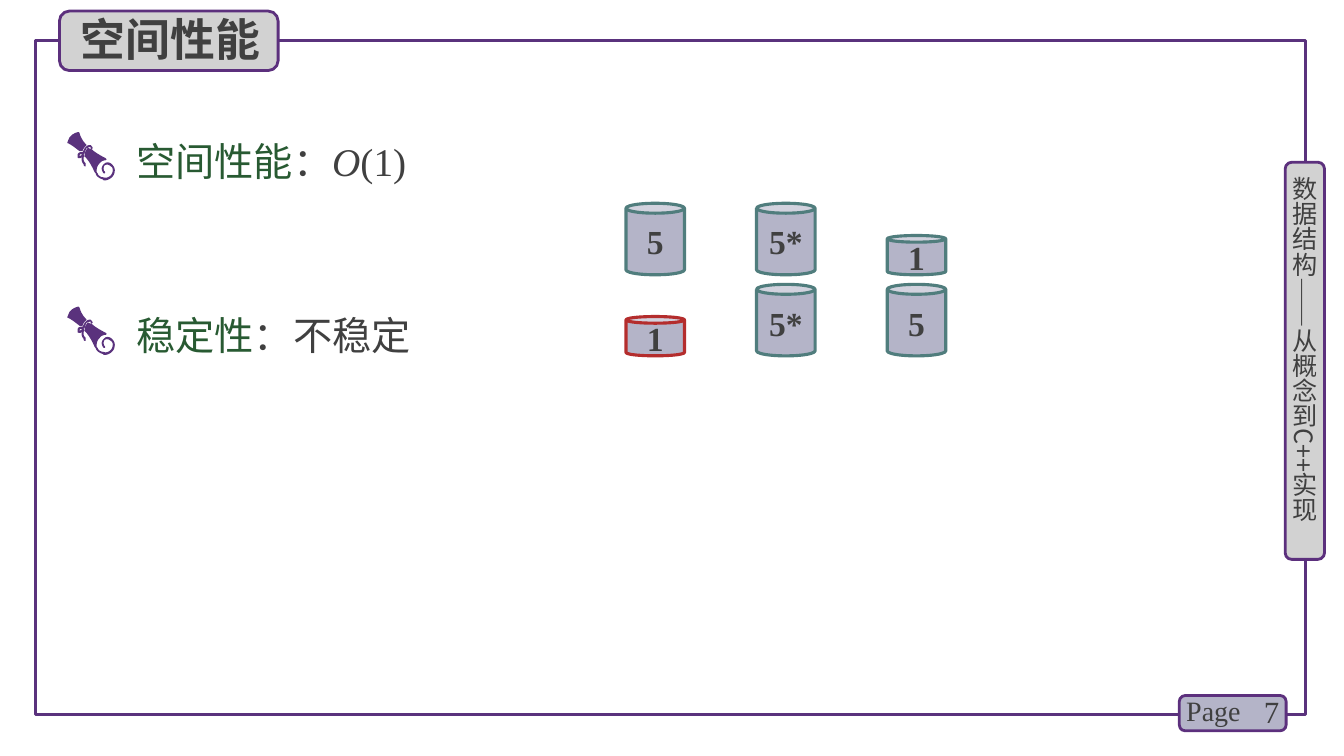
from dataclasses import dataclass

from pptx import Presentation
from pptx.dml.color import RGBColor
from pptx.enum.shapes import MSO_SHAPE as SHAPE
from pptx.enum.text import MSO_ANCHOR as ANCHOR, MSO_AUTO_SIZE as AUTO, PP_ALIGN as ALIGN
from pptx.oxml.ns import qn
from pptx.util import Pt

PURPLE = RGBColor(0x5A, 0x32, 0x7D)
BADGE_LINE = RGBColor(0x5C, 0x30, 0x7D)
LAVENDER = RGBColor(0xB4, 0xB4, 0xC8)
SILVER = RGBColor(0xD2, 0xD2, 0xD2)
DARK = RGBColor(0x40, 0x40, 0x40)
GREEN = RGBColor(0x28, 0x5A, 0x32)
TEAL = RGBColor(0x50, 0x7D, 0x7D)
RED = RGBColor(0xB4, 0x2D, 0x2D)
CJK, SERIF = "Noto Sans CJK SC", "Times New Roman"

# Scroll icon: each contour is a start point, then lines (x, y) and cubic curves (6 numbers).
ICON_UNIT = Pt(0.72)
CURVE_STEPS = 5
CAP = [(14, 19), (15, 19), (15, 18, 16, 16, 18, 14), (19, 13), (13, 7, 12, 1, 12, 1),
       (11, 0), (11, 0, 2, 1, 0, 10), (0, 11), (1, 11, 6, 14, 12, 19)]
SCROLL = [(45, 33), (44, 31, 39, 28, 36, 32), (35, 33, 34, 35, 34, 36),
          (34, 38, 35, 40, 36, 41), (37, 41), (38, 40, 37, 40, 37, 39),
          (36, 39, 36, 37, 36, 36), (36, 35, 36, 34, 37, 33), (40, 31, 43, 34, 43, 34),
          (45, 35, 45, 37, 45, 38), (45, 40, 44, 42, 43, 43), (41, 45, 38, 46, 36, 45),
          (32, 45, 30, 42, 30, 41), (29, 40, 29, 40, 29, 39), (29, 35, 30, 33, 32, 31),
          (34, 28, 38, 28, 38, 28), (39, 27), (38, 26), (32, 23, 27, 20, 24, 17),
          (23, 17), (21, 16), (20, 16), (19, 17, 18, 19, 17, 21), (17, 24),
          (21, 28, 24, 33, 27, 40), (28, 41), (28, 43, 31, 46, 35, 47),
          (36, 48, 36, 48, 37, 48), (39, 48, 42, 47, 44, 45), (46, 43, 47, 41, 47, 38),
          (47, 36, 46, 34, 45, 33)]
RIBBON = [(17, 34), (16, 33), (16, 32), (15, 31, 14, 29, 14, 27), (14, 25), (13, 26),
          (11, 26), (10, 26, 10, 25, 10, 23), (10, 21, 12, 20, 13, 20), (15, 20),
          (16, 18, 17, 16, 18, 15), (19, 14, 20, 13, 22, 13), (23, 13),
          (24, 14, 25, 15, 25, 16), (24, 17), (23, 17), (23, 16, 23, 15, 23, 15), (22, 15),
          (21, 15, 20, 16, 19, 16), (18, 17, 18, 19, 17, 21), (16, 22), (17, 24),
          (16, 25, 16, 25, 16, 26), (16, 27), (16, 29, 17, 30, 18, 31), (18, 34)]
RIBBON_HOLE = [(13, 22), (12, 23), (12, 25), (12, 24), (14, 23), (14, 22)]
ICON = [[CAP], [SCROLL], [RIBBON, RIBBON_HOLE]]


@dataclass
class Box:
    left: float
    top: float
    width: float
    height: float

    def emu(self) -> list:
        return [Pt(v) for v in (self.left, self.top, self.width, self.height)]


@dataclass
class Run:
    text: str
    size: float
    font: str = SERIF
    color: RGBColor = DARK
    bold: bool = False
    italic: bool = False


@dataclass
class Can:
    label: str
    column: int
    bottom: float
    height: float
    line: RGBColor = TEAL


def write(tf, runs: list, align=ALIGN.LEFT, spacing: float = 1.0, **frame) -> None:
    """Fill the first paragraph of a text frame; frame holds its own properties."""
    for name, value in frame.items():
        setattr(tf, name, value)
    p = tf.paragraphs[0]
    p.alignment, p.line_spacing = align, spacing
    for run in runs:
        r = p.add_run()
        r.text = run.text
        font = {"size": Pt(run.size), "name": run.font, "bold": run.bold, "italic": run.italic}
        for name, value in font.items():
            setattr(r.font, name, value)
        r.font.color.rgb = run.color
        ea = r.font._element.makeelement(qn("a:ea"), {"typeface": CJK})
        r.font._element.find(qn("a:latin")).addnext(ea)


def add_text(s, box: Box, runs: list, **options):
    tf = s.shapes.add_textbox(*box.emu()).text_frame
    write(tf, runs, **{"word_wrap": True, "auto_size": AUTO.SHAPE_TO_FIT_TEXT, **options})
    return tf


def style(sp, fill, line=None, width: float = 2) -> None:
    sp.shadow.inherit = False
    if fill is None:
        sp.fill.background()
    else:
        sp.fill.solid()
        sp.fill.fore_color.rgb = fill
    if line is None:
        sp.line.fill.background()
    else:
        sp.line.color.rgb, sp.line.width = line, Pt(width)


def add_styled(s, kind, box: Box, fill, line, width: float = 2):
    sp = s.shapes.add_shape(kind, *box.emu())
    style(sp, fill, line, width)
    return sp


def flatten(contour: list) -> list:
    """Turn lines and cubic curves into points in EMU."""
    points = [contour[0]]
    for segment in contour[1:]:
        if len(segment) == 2:
            points.append(segment)
            continue
        start = points[-1]
        for step in range(1, CURVE_STEPS + 1):
            t = step / CURVE_STEPS
            u = 1 - t
            points.append(tuple(
                u**3 * start[i] + 3 * u * u * t * segment[i]
                + 3 * u * t * t * segment[i + 2] + t**3 * segment[i + 4] for i in (0, 1)))
    return [(x * ICON_UNIT, y * ICON_UNIT) for x, y in points]


def add_icon(s, left: float, top: float) -> None:
    for part in ICON:
        first, *rest = [flatten(contour) for contour in part]
        builder = s.shapes.build_freeform(*first[0])
        builder.add_line_segments(first[1:], close=True)
        for points in rest:
            builder.move_to(*points[0])
            builder.add_line_segments(points[1:], close=True)
        style(builder.convert_to_shape(Pt(left), Pt(top)), PURPLE)


def add_can(s, can: Can) -> None:
    box = Box(447.1 + 93.3 * can.column, can.bottom - can.height, 41.8, can.height)
    sp = add_styled(s, SHAPE.CAN, box, LAVENDER, can.line, 2.25)
    sp.adjustments[0] = 0.17
    write(sp.text_frame, [Run(can.label, 24, bold=True)], align=ALIGN.CENTER,
          word_wrap=False, vertical_anchor=ANCHOR.MIDDLE)


def add_frame(s) -> None:
    """Draw the border with the page badge and the vertical book title."""
    add_styled(s, SHAPE.RECTANGLE, Box(25.2, 28.8, 907.2, 481.7), None, PURPLE, 2.25)
    add_styled(s, SHAPE.ROUNDED_RECTANGLE, Box(842.4, 496.8, 76.3, 25.2), LAVENDER, BADGE_LINE)
    add_text(s, Box(878.4, 493.9, 42.5, 28.8), [Run("7", 22)], align=ALIGN.RIGHT,
             auto_size=AUTO.NONE, vertical_anchor=ANCHOR.MIDDLE)
    add_text(s, Box(840.2, 491.8, 56.2, 31.7), [Run("Page", 20)])
    add_styled(s, SHAPE.ROUNDED_RECTANGLE, Box(918, 115.9, 28.1, 283.7), SILVER, BADGE_LINE)
    tf = add_text(s, Box(920.9, 126, 21.6, 272.2), [Run("数据结构——从概念到C++实现", 18, CJK)],
                  margin_left=0, margin_top=0, margin_right=0, margin_bottom=0)
    tf._txBody.bodyPr.set("vert", "eaVert")


def add_title(s, text: str) -> None:
    add_styled(s, SHAPE.ROUNDED_RECTANGLE, Box(42.5, 7.9, 156.2, 42.5), SILVER, BADGE_LINE)
    title = s.shapes.title
    title.left, title.top, title.width, title.height = Box(50.4, 5, 151.2, 46.1).emu()
    title._element.getparent().append(title._element)
    write(title.text_frame, [Run(text, 32, CJK, bold=True)], word_wrap=True,
          auto_size=AUTO.SHAPE_TO_FIT_TEXT, vertical_anchor=ANCHOR.TOP)


def main() -> None:
    prs = Presentation()
    prs.slide_width, prs.slide_height = Pt(960), Pt(540)
    s = prs.slides.add_slide(prs.slide_layouts[5])
    add_frame(s)
    add_title(s, "空间性能")

    bullets = [
        ("空间性能", [Run("：", 28), Run("O", 28, italic=True), Run("(1)", 28)]),
        ("稳定性", [Run("：不稳定", 28)]),
    ]
    for i, (topic, rest) in enumerate(bullets):
        offset = 124.7 * i
        runs = [Run(" ", 28), Run(topic, 28, color=GREEN), *rest]
        add_text(s, Box(84.2, 84.2 + offset, 306, 51.1), runs, spacing=1.3)
        add_icon(s, 48.2, 94.3 + offset)

    before, after, tall, short = 196.3, 254.2, 51.1, 28.1
    for can in [Can("1", 2, before, short), Can("5", 0, before, tall),
                Can("5*", 1, before, tall), Can("1", 0, after, short, RED),
                Can("5", 2, after, tall), Can("5*", 1, after, tall)]:
        add_can(s, can)
    prs.save("out.pptx")


if __name__ == "__main__":
    main()
